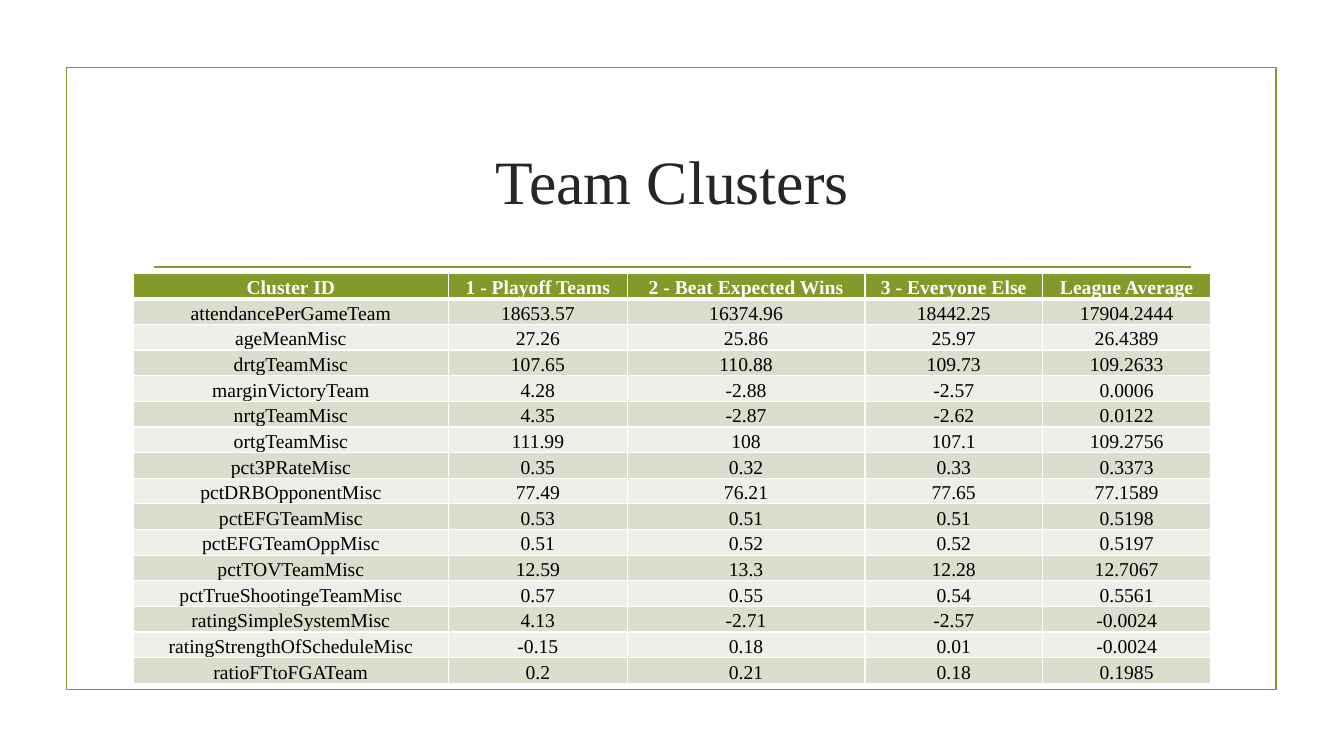
import dataclasses

import pptx
import pptx.dml.color
import pptx.enum.shapes
import pptx.enum.text
import pptx.oxml
import pptx.oxml.ns
import pptx.slide
import pptx.table
import pptx.util
from pptx.util import Inches

FONT = "Times New Roman"
GREEN = "83992A"
WHITE = "FFFFFF"
BAND_FILLS = ("EDEFE8", "D9DECD")
COLUMN_WIDTHS = (3.13, 1.77, 2.36, 1.76, 1.67)
TABLE_HEIGHT = 4.07


@dataclasses.dataclass(frozen=True)
class ClusterRow:
    label: str
    playoff: str
    beat_expected: str
    everyone_else: str
    league: str


ROWS = (
    ClusterRow("Cluster ID", "1 - Playoff Teams", "2 - Beat Expected Wins",
               "3 - Everyone Else", "League Average"),
    ClusterRow("attendancePerGameTeam", "18653.57", "16374.96", "18442.25", "17904.2444"),
    ClusterRow("ageMeanMisc", "27.26", "25.86", "25.97", "26.4389"),
    ClusterRow("drtgTeamMisc", "107.65", "110.88", "109.73", "109.2633"),
    ClusterRow("marginVictoryTeam", "4.28", "-2.88", "-2.57", "0.0006"),
    ClusterRow("nrtgTeamMisc", "4.35", "-2.87", "-2.62", "0.0122"),
    ClusterRow("ortgTeamMisc", "111.99", "108", "107.1", "109.2756"),
    ClusterRow("pct3PRateMisc", "0.35", "0.32", "0.33", "0.3373"),
    ClusterRow("pctDRBOpponentMisc", "77.49", "76.21", "77.65", "77.1589"),
    ClusterRow("pctEFGTeamMisc", "0.53", "0.51", "0.51", "0.5198"),
    ClusterRow("pctEFGTeamOppMisc", "0.51", "0.52", "0.52", "0.5197"),
    ClusterRow("pctTOVTeamMisc", "12.59", "13.3", "12.28", "12.7067"),
    ClusterRow("pctTrueShootingeTeamMisc", "0.57", "0.55", "0.54", "0.5561"),
    ClusterRow("ratingSimpleSystemMisc", "4.13", "-2.71", "-2.57", "-0.0024"),
    ClusterRow("ratingStrengthOfScheduleMisc", "-0.15", "0.18", "0.01", "-0.0024"),
    ClusterRow("ratioFTtoFGATeam", "0.2", "0.21", "0.18", "0.1985"),
)


def color(value: str) -> pptx.dml.color.RGBColor:
    return pptx.dml.color.RGBColor.from_string(value)


def write_text(frame, text: str, size: int, ink: str, bold: bool = False) -> None:
    frame.word_wrap = True
    paragraph = frame.paragraphs[0]
    paragraph.text = text
    paragraph.alignment = pptx.enum.text.PP_ALIGN.CENTER
    paragraph.font.name = FONT
    paragraph.font.size = pptx.util.Pt(size)
    paragraph.font.bold = bold
    paragraph.font.color.rgb = color(ink)


def draw_frame(page: pptx.slide.Slide) -> None:
    border = page.shapes.add_shape(
        pptx.enum.shapes.MSO_SHAPE.RECTANGLE,
        Inches(0.66), Inches(0.67), Inches(12), Inches(6.17))
    border.shadow.inherit = False
    border.fill.background()
    rule = page.shapes.add_connector(
        pptx.enum.shapes.MSO_CONNECTOR.STRAIGHT,
        Inches(1.53), Inches(2.65), Inches(11.81), Inches(2.65))
    rule._element.spPr.append(pptx.oxml.parse_xml(
        f"<a:effectLst {pptx.oxml.ns.nsdecls('a')}/>"))
    for outlined in (border, rule):
        outlined.line.color.rgb = color(GREEN)
        outlined.line.width = pptx.util.Pt(1.25)


def draw_title(page: pptx.slide.Slide) -> None:
    box = page.shapes.add_textbox(Inches(1.42), Inches(1.07), Inches(10.5), Inches(1.43))
    box.text_frame.vertical_anchor = pptx.enum.text.MSO_ANCHOR.MIDDLE
    write_text(box.text_frame, "Team Clusters", 44, "262626")


def set_borders(cell: pptx.table._Cell, top: int, bottom: int) -> None:
    properties = cell._tc.get_or_add_tcPr()
    sides = (("lnL", 1), ("lnR", 1), ("lnT", top), ("lnB", bottom))
    for position, (side, points) in enumerate(sides):
        properties.insert(position, pptx.oxml.parse_xml(
            f"<a:{side} {pptx.oxml.ns.nsdecls('a')} w='{pptx.util.Pt(points)}'>"
            f"<a:solidFill><a:srgbClr val='{WHITE}'/></a:solidFill></a:{side}>"))


def draw_table(page: pptx.slide.Slide) -> None:
    table = page.shapes.add_table(
        len(ROWS), len(COLUMN_WIDTHS), Inches(1.32), Inches(2.71),
        Inches(sum(COLUMN_WIDTHS)), Inches(TABLE_HEIGHT)).table
    for column, width in zip(table.columns, COLUMN_WIDTHS):
        column.width = Inches(width)
    for row_index, row in enumerate(ROWS):
        header = row_index == 0
        fill = GREEN if header else BAND_FILLS[row_index % 2]
        for column_index, text in enumerate(dataclasses.astuple(row)):
            cell = table.cell(row_index, column_index)
            cell.margin_left = cell.margin_right = cell.margin_top = Inches(0.01)
            cell.margin_bottom = 0
            cell.vertical_anchor = pptx.enum.text.MSO_ANCHOR.BOTTOM
            cell.fill.solid()
            cell.fill.fore_color.rgb = color(fill)
            write_text(cell.text_frame, text, 14, WHITE if header else "000000", header)
            set_borders(cell, 3 if row_index == 1 else 1, 3 if header else 1)


def main() -> None:
    deck = pptx.Presentation()
    deck.slide_width = Inches(13.33)
    deck.slide_height = Inches(7.5)
    page = deck.slides.add_slide(deck.slide_layouts[6])
    draw_frame(page)
    draw_title(page)
    draw_table(page)
    deck.save("out.pptx")


if __name__ == "__main__":
    main()
